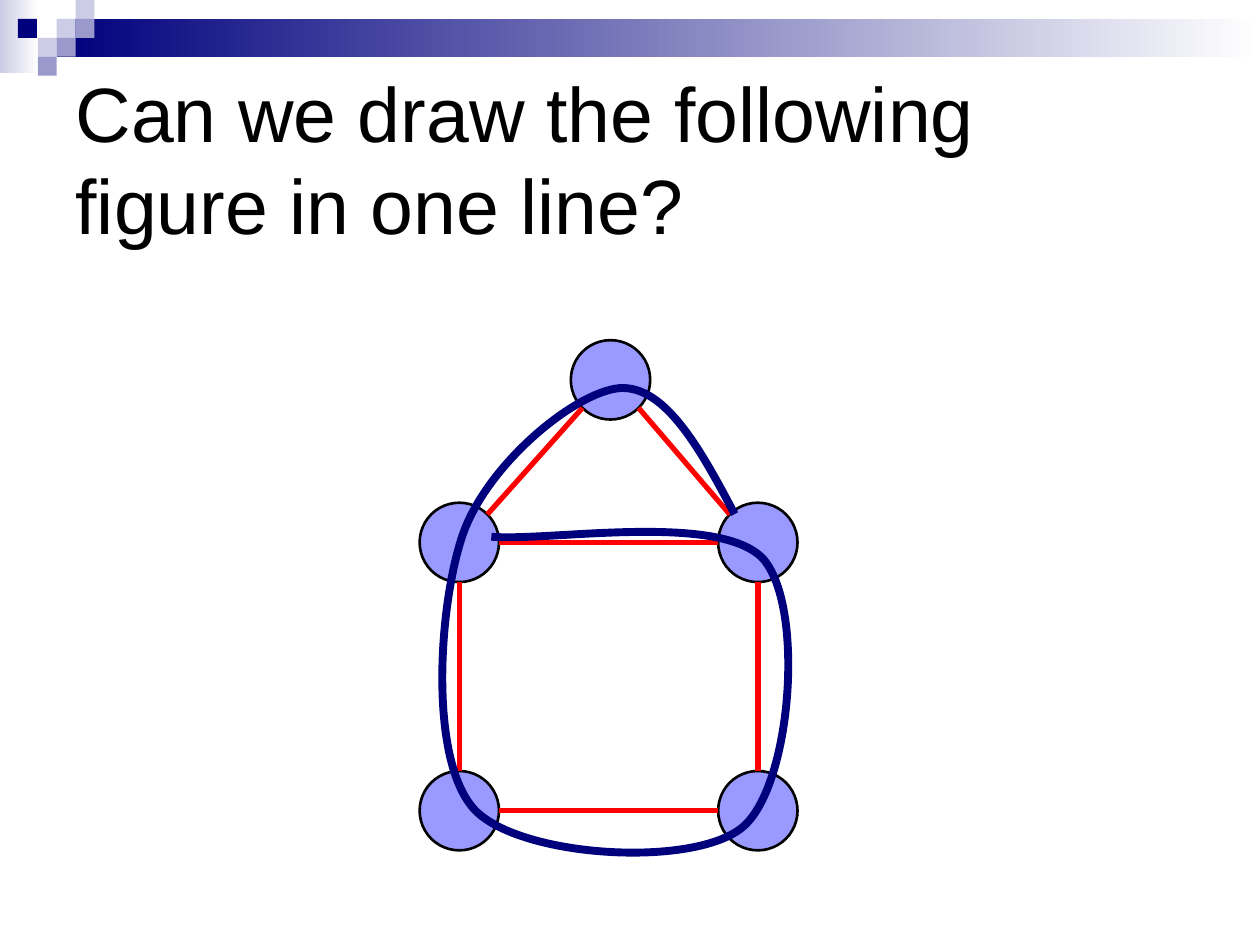
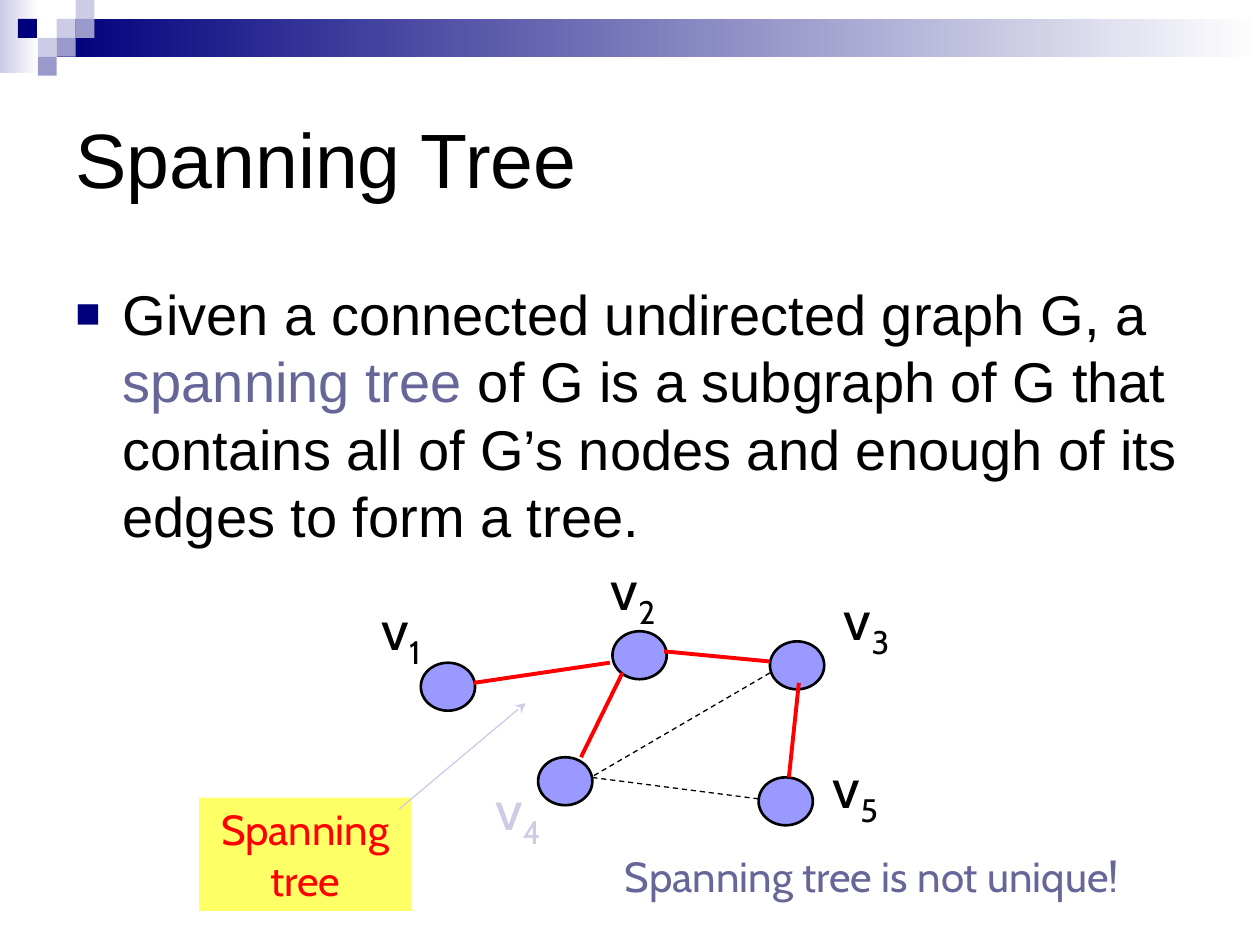
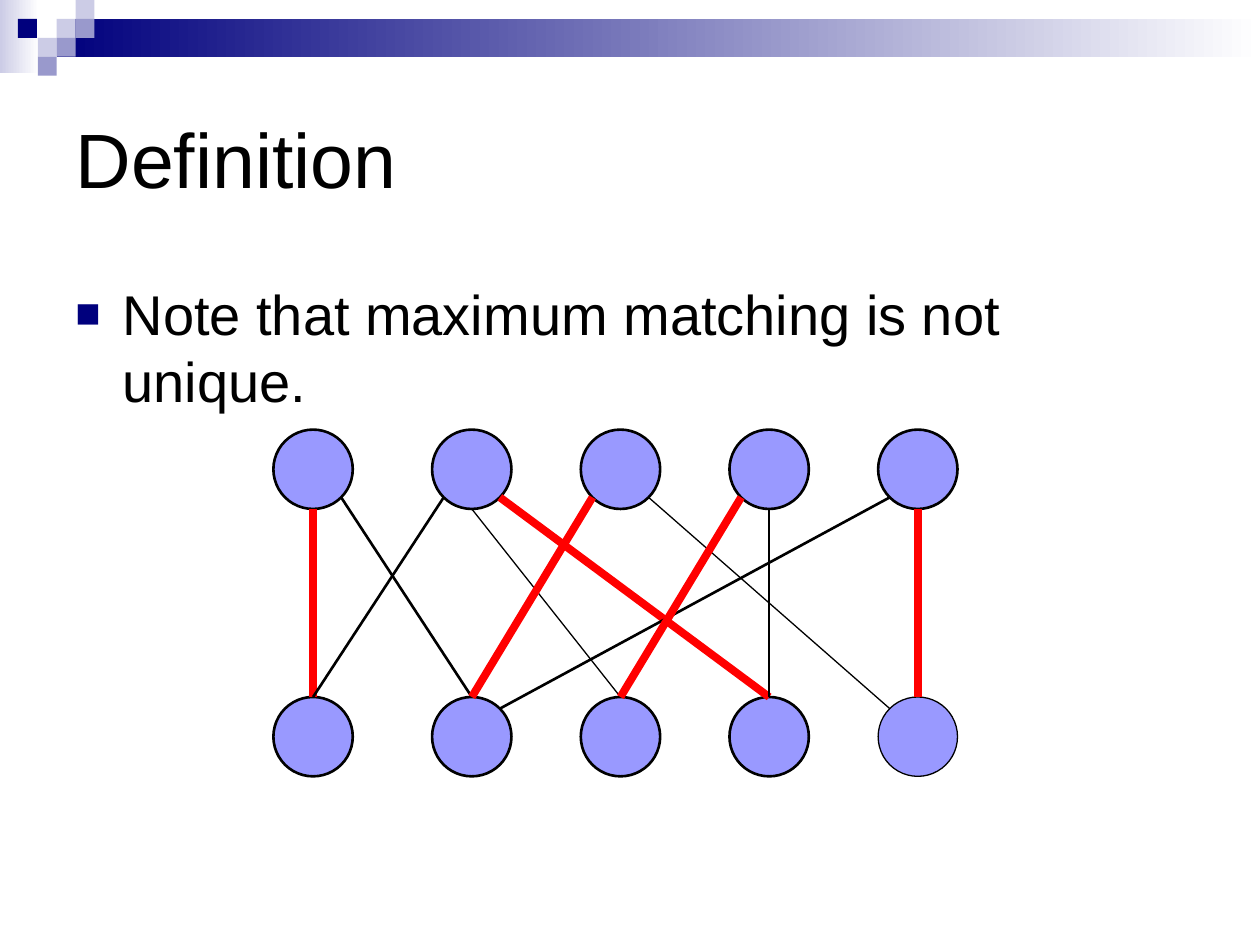
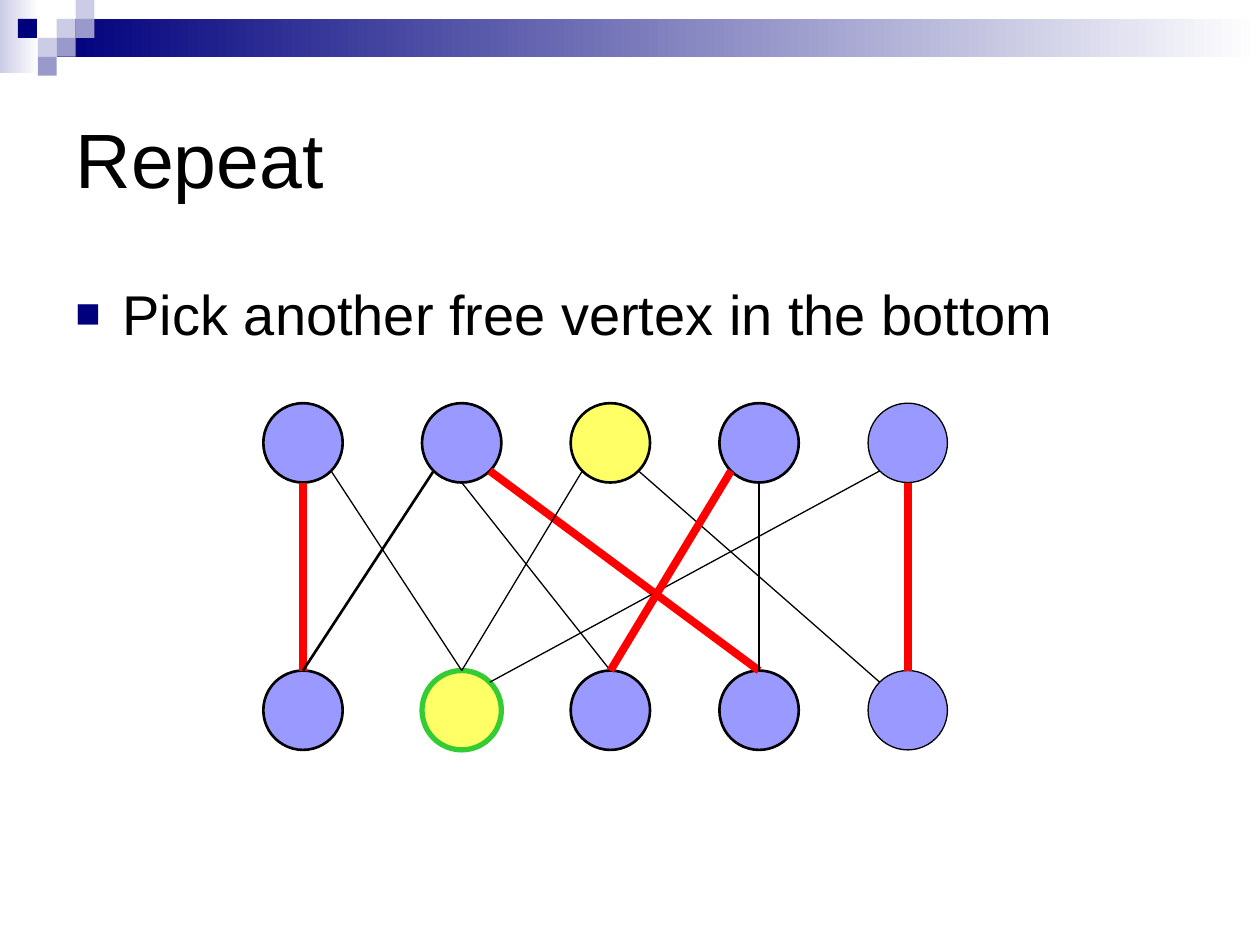
from lxml.etree import SubElement
from pptx import Presentation
from pptx.dml.color import RGBColor
from pptx.enum.dml import MSO_LINE_DASH_STYLE as Dash
from pptx.enum.shapes import MSO_CONNECTOR as Connector, MSO_SHAPE as Shape
from pptx.enum.text import MSO_ANCHOR as Anchor, MSO_AUTO_SIZE as AutoSize, PP_ALIGN as Align
from pptx.oxml.ns import qn
from pptx.util import Pt

COLORS = {
    "white": "FFFFFF", "black": "000000", "navy": "00007D", "pale": "CCCCE6",
    "lilac": "9999CC", "node": "9999FF", "red": "FF0000", "yellow": "FFFF66",
    "green": "33CC33", "slate": "666699",
}
HEADING_FONT, LABEL_FONT = "Arial", "Cabin"

TITLE_BOX = (36, 36, 648, 108)
BODY_BOX = (36, 156.24, 648, 306)
CELL = 10.8
NODE = 45.36
# Points on a circle's rim, as fractions of its box
DIAGONAL = 0.5 * 0.5 ** 0.5
NEAR, FAR = 0.5 - DIAGONAL, 0.5 + DIAGONAL
RIM = {
    "top": (0.5, 0), "bottom": (0.5, 1), "left": (0, 0.5), "right": (1, 0.5),
    "top left": (NEAR, NEAR), "top right": (FAR, NEAR),
    "bottom left": (NEAR, FAR), "bottom right": (FAR, FAR),
}


def rgb(name):
    return RGBColor.from_string(COLORS[name])


def points(values):
    return [Pt(value) for value in values]


def style_font(run, size, color, font):
    run.font.size, run.font.name = Pt(size), font
    run.font.color.rgb = rgb(color)


def add_filled(slide, kind, box, fill, outline=None, width=1.5):
    shape = slide.shapes.add_shape(kind, *points(box))
    shape.shadow.inherit = False
    shape.fill.solid()
    shape.fill.fore_color.rgb = rgb(fill)
    if outline:
        shape.line.color.rgb, shape.line.width = rgb(outline), Pt(width)
    else:
        shape.line.fill.background()
    return shape


def add_node(slide, left, top, size=(NODE, NODE), fill="node", outline="black", width=1.5):
    add_filled(slide, Shape.OVAL, (left, top, *size), fill, outline, width)


def add_edge(slide, start, end, color="red", width=3, dashed=False, arrow=False):
    edge = slide.shapes.add_connector(Connector.STRAIGHT, *points((*start, *end)))
    edge.line.color.rgb, edge.line.width = rgb(color), Pt(width)
    if dashed:
        edge.line.dash_style = Dash.DASH
    properties = edge.element.spPr
    if arrow:
        SubElement(properties.find(qn("a:ln")), qn("a:tailEnd"), type="stealth")
    SubElement(properties, qn("a:effectLst"))


def rim_point(node, side):
    return tuple(corner + part * NODE for corner, part in zip(node, RIM[side]))


def add_label(slide, box, text, color="black", size=24, subscript=None):
    label = slide.shapes.add_textbox(*points(box))
    frame = label.text_frame
    frame.text = text
    frame.word_wrap, frame.auto_size = False, AutoSize.SHAPE_TO_FIT_TEXT
    paragraph = frame.paragraphs[0]
    if subscript:
        index = paragraph.add_run()
        index.text = subscript
        index._r.get_or_add_rPr().set("baseline", "-25000")
    for run in paragraph.runs:
        style_font(run, size, color, LABEL_FONT)


# Header shared by all slides, moved to the layout once drawn
def build_header(slide, layout):
    bars = [((0, 0, 22.3, 41.8), "pale"), ((32.4, CELL, 687.6, 21.6), "navy")]
    cells = [(3, 1, "pale"), (4, 0, "pale"), (4, 1, "lilac"), (2, 2, "pale"),
             (0.95, 1, "navy"), (3, 2, "lilac"), (2, 3, "lilac")]
    parts = []
    for box, color in bars:
        bar = add_filled(slide, Shape.RECTANGLE, box, color)
        bar.fill.gradient()
        bar.fill.gradient_angle = 180
        for stop, shade in zip(bar.fill.gradient_stops, ("white", color)):
            stop.color.rgb = rgb(shade)
        parts.append(bar)
    for column, row, color in cells:
        box = (column * CELL, row * CELL, CELL, CELL)
        parts.append(add_filled(slide, Shape.RECTANGLE, box, color))
    for position, part in enumerate(parts):
        part.element.nvSpPr.cNvPr.set("id", str(20 + position))
        layout.shapes.element.insert(2 + position, part.element)


def add_titled_slide(deck, layout, heading):
    slide = deck.slides.add_slide(layout)
    title = slide.shapes.title
    title.left, title.top, title.width, title.height = points(TITLE_BOX)
    frame = title.text_frame
    frame.text = heading
    frame.word_wrap, frame.auto_size = True, AutoSize.NONE
    frame.vertical_anchor = Anchor.MIDDLE
    frame.paragraphs[0].alignment = Align.LEFT
    style_font(frame.paragraphs[0].runs[0], 44, "black", HEADING_FONT)
    return slide


def add_bullet(slide, box, pieces):
    body = slide.shapes.add_textbox(*points(box))
    body.text_frame.word_wrap = True
    paragraph = body.text_frame.paragraphs[0]
    paragraph.space_before = Pt(8)
    for text, color in pieces:
        run = paragraph.add_run()
        run.text = text
        style_font(run, 32, color, HEADING_FONT)
    properties = paragraph._p.get_or_add_pPr()
    properties.set("marL", str(Pt(27)))
    properties.set("indent", str(-Pt(27)))
    bullet_color = SubElement(properties, qn("a:buClr"))
    SubElement(bullet_color, qn("a:srgbClr"), val=COLORS["navy"])
    SubElement(properties, qn("a:buSzPct"), val="75000")
    SubElement(properties, qn("a:buFont"), typeface=HEADING_FONT)
    SubElement(properties, qn("a:buChar"), char="■")


# Curve through a start point and triples of Bézier points
def add_curve(slide, left, top, route, color, width):
    placed = [(Pt(left + x), Pt(top + y)) for x, y in route]
    builder = slide.shapes.build_freeform(*placed[0])
    builder.add_line_segments(placed[1:], close=False)
    curve = builder.convert_to_shape()
    curve.shadow.inherit = False
    curve.fill.background()
    curve.line.color.rgb, curve.line.width = rgb(color), Pt(width)
    outline = next(curve.element.iter(qn("a:path")))
    segments = outline.findall(qn("a:lnTo"))
    for first in range(0, len(segments), 3):
        bend = SubElement(outline, qn("a:cubicBezTo"))
        for segment in segments[first:first + 3]:
            bend.append(segment[0])
            outline.remove(segment)


# House figure with its one-line drawing
def build_house(slide, left, top):
    corners = {"apex": (86.4, 0), "west": (0, 92.9), "east": (170.6, 92.9),
               "southwest": (0, 246.2), "southeast": (170.6, 246.2)}
    walls = [("west", "bottom", "southwest", "top"),
             ("southwest", "right", "southeast", "left"),
             ("east", "bottom", "southeast", "top"),
             ("east", "left", "west", "right"),
             ("west", "top right", "apex", "bottom left"),
             ("apex", "bottom right", "east", "top left")]
    stroke = [(180, 99.4),
              (160.6, 62.6), (140.4, 25.9), (114.5, 27.4),
              (88.6, 29.5), (38.2, 71.3), (24.5, 111.6),
              (10.8, 151.9), (5, 240.5), (31.7, 268.6),
              (58.3, 295.9), (157.7, 301.7), (185, 277.9),
              (212.4, 254.2), (220.3, 153.4), (196.6, 125.3),
              (172.1, 97.9), (73.4, 115.2), (41, 112.3)]
    nodes = {name: (left + x, top + y) for name, (x, y) in corners.items()}
    for node in nodes.values():
        add_node(slide, *node)
    for start, start_side, end, end_side in walls:
        add_edge(slide, rim_point(nodes[start], start_side), rim_point(nodes[end], end_side))
    add_curve(slide, left, top, stroke, "navy", 4.5)


# Graph with its spanning tree in red
def build_spanning_tree(slide, left, top):
    # vertex: node offset, label offset, label colour
    vertices = {
        "1": ((126.7, 65.5), (97.2, 23), "black"),
        "2": ((236.2, 47.5), (228.2, 0), "black"),
        "3": ((326.2, 53.3), (361.4, 17.3), "black"),
        "4": ((193.7, 119.5), (162, 126), "pale"),
        "5": ((319.7, 131), (355, 113), "black"),
    }
    tree = [((326.2, 64.8), (265.7, 59)), ((241.9, 71.3), (218.2, 119.5)),
            ((157, 77), (234.7, 65.5)), ((337, 131), (342.7, 77))]
    unused = [((319.7, 143.3), (223.9, 131)), ((326.2, 71.3), (223.9, 131))]

    def place(offset):
        return left + offset[0], top + offset[1]

    for node, _, _ in vertices.values():
        add_node(slide, *place(node), size=(31, 27.4))
    for start, end in unused:
        add_edge(slide, place(start), place(end), "black", 0.75, dashed=True)
    for start, end in tree:
        add_edge(slide, place(start), place(end), width=2.25)
    for index, (_, label, color) in vertices.items():
        add_label(slide, (*place(label), 41, 51), "v", color, 32, index)

    # Callout, arrow and remark
    callout = add_filled(slide, Shape.RECTANGLE, (*place((0, 142.6)), 121, 64.8), "yellow")
    frame = callout.text_frame
    frame.text = "Spanning tree"
    frame.word_wrap = True
    frame.paragraphs[0].alignment = Align.CENTER
    style_font(frame.paragraphs[0].runs[0], 24, "red", LABEL_FONT)
    add_edge(slide, place((114.5, 149)), place((186.5, 88.6)), "pale", 0.75, arrow=True)
    add_label(slide, (*place((236.2, 169.2)), 332.6, 36), "Spanning tree is not unique!", "slate")


# Two rows of five vertices; edges are (upper, side, lower, side)
MATCHING_EDGES = [
    (0, "bottom right", 1, "top"), (0, "bottom", 0, "top"),
    (1, "bottom right", 3, "top"), (1, "bottom", 2, "top"),
    (1, "bottom left", 0, "top"), (4, "bottom left", 1, "top right"),
    (4, "bottom", 4, "top"), (2, "bottom right", 4, "top left"),
    (3, "bottom left", 2, "top"), (3, "bottom", 3, "top"),
    (2, "bottom left", 1, "top"),
]


def build_matching(slide, left, top, matched, thin, node_styles):
    first_gap, gap, row_gap = 90.7, 84.96, 152.8
    columns = [left] + [left + first_gap + gap * step for step in range(4)]
    upper, lower = [[(x, top + row * row_gap) for x in columns] for row in range(2)]
    for row, nodes in enumerate((upper, lower)):
        for column, node in enumerate(nodes):
            add_node(slide, *node, **node_styles.get((row, column), {}))
    for start, start_side, end, end_side in MATCHING_EDGES:
        pair = (start, end)
        color = "red" if pair in matched else "black"
        width = 4.5 if pair in matched else 0.75 if pair in thin else 1.5
        add_edge(slide, rim_point(upper[start], start_side),
                 rim_point(lower[end], end_side), color, width)


def main():
    deck = Presentation()
    deck.slide_width, deck.slide_height = Pt(720), Pt(540)
    layout = deck.slide_layouts[5]

    house = add_titled_slide(deck, layout, "Can we draw the following figure in one line?")
    build_header(house, layout)
    build_house(house, 239.8, 194.4)

    spanning = add_titled_slide(deck, layout, "Spanning Tree")
    add_bullet(spanning, BODY_BOX, [
        ("Given a connected undirected graph G, a ", "black"),
        ("spanning tree", "slate"),
        (" of G is a subgraph of G that contains all of G’s nodes"
         " and enough of its edges to form a tree.", "black"),
    ])
    build_spanning_tree(spanning, 113.8, 313.2)

    matched = {(0, 0), (1, 3), (4, 4), (3, 2)}
    fine = {"width": 0.75}

    definition = add_titled_slide(deck, layout, "Definition")
    add_bullet(definition, BODY_BOX, [("Note that maximum matching is not unique.", "black")])
    build_matching(definition, 156.24, 245.5, matched | {(2, 1)}, {(1, 2), (2, 4)},
                   {(1, 4): fine})

    repeat = add_titled_slide(deck, layout, "Repeat")
    add_bullet(repeat, BODY_BOX, [("Pick another free vertex in the bottom", "black")])
    build_matching(repeat, 150.48, 230.4, matched,
                   {(0, 1), (1, 2), (4, 1), (2, 4), (2, 1)},
                   {(0, 2): {"fill": "yellow"}, (0, 4): fine, (1, 4): fine,
                    (1, 1): {"fill": "yellow", "outline": "green", "width": 3}})

    deck.save("out.pptx")


if __name__ == "__main__":
    main()
